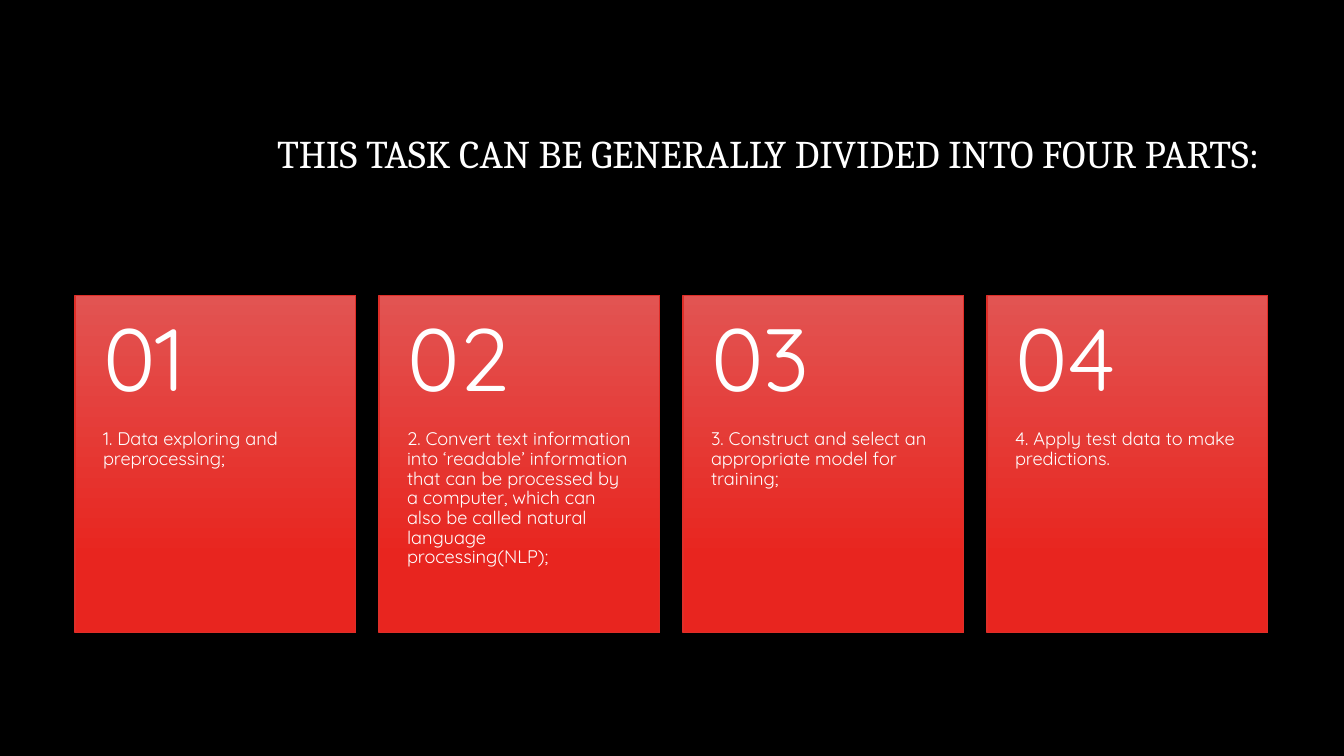
from pptx import Presentation
from pptx.dml.color import RGBColor
from pptx.enum.shapes import MSO_SHAPE
from pptx.enum.text import MSO_ANCHOR, PP_ALIGN
from pptx.util import Pt

RECTANGLE = MSO_SHAPE.RECTANGLE
TOP, MIDDLE = MSO_ANCHOR.TOP, MSO_ANCHOR.MIDDLE
LEFT, RIGHT = PP_ALIGN.LEFT, PP_ALIGN.RIGHT

BLACK = RGBColor(0x00, 0x00, 0x00)
WHITE = RGBColor(0xFF, 0xFF, 0xFF)
CORAL = RGBColor(0xE2, 0x54, 0x52)
RED = RGBColor(0xE8, 0x25, 0x1F)
BORDER_RED = RGBColor(0xDF, 0x2E, 0x28)

SLIDE_WIDTH, SLIDE_HEIGHT = 1344, 756
EMU_PER_PX = 12192000 / SLIDE_WIDTH

CARD_LEFT, CARD_TOP, CARD_WIDTH, CARD_HEIGHT = 75, 295, 281, 338
CARD_PITCH = 304
NUMBER_HEIGHT = 135

TITLE = "THIS TASK CAN BE GENERALLY DIVIDED INTO FOUR PARTS:"
PARTS = [
    "1. Data exploring and preprocessing;",
    "2. Convert text information into ‘readable’ information that can be "
    "processed by a computer, which can also be called natural language "
    "processing(NLP);",
    "3. Construct and select an appropriate model for training;",
    "4. Apply test data to make predictions.",
]


def px(length):
    return round(length * EMU_PER_PX)


class CardSlide:
    """Draws the title and numbered cards on one slide in a shared style."""

    def __init__(self, slide):
        self.slide = slide
        background = slide.background.fill
        background.solid()
        background.fore_color.rgb = BLACK

    def text(self, box, wording, font_name, size, insets,
             anchor=TOP, align=LEFT):
        frame = self.slide.shapes.add_textbox(*map(px, box)).text_frame
        frame.word_wrap = True
        frame.vertical_anchor = anchor
        (frame.margin_left, frame.margin_top,
         frame.margin_right, frame.margin_bottom) = map(px, insets)
        frame.text = wording
        paragraph = frame.paragraphs[0]
        paragraph.alignment = align
        paragraph.line_spacing = 0.9
        font = paragraph.runs[0].font
        font.name = font_name
        font.size = Pt(size)
        font.color.rgb = WHITE

    def panel(self, box):
        panel = self.slide.shapes.add_shape(RECTANGLE, *map(px, box))
        panel.shadow.inherit = False
        panel.line.color.rgb = BORDER_RED
        panel.line.width = Pt(0.75)
        panel.fill.gradient()
        panel.fill.gradient_angle = 270
        stops = panel.fill.gradient_stops
        for stop, position, color in zip(stops, (0, 0.78), (CORAL, RED)):
            stop.position = position
            stop.color.rgb = color

    def card(self, index, description):
        left = CARD_LEFT + index * CARD_PITCH
        description_top = CARD_TOP + NUMBER_HEIGHT
        description_height = CARD_HEIGHT - NUMBER_HEIGHT
        self.panel((left, CARD_TOP, CARD_WIDTH, CARD_HEIGHT))
        self.text((left, description_top, CARD_WIDTH, description_height),
                  description, "Quicksand", 13, (28, 0, 28, 36))
        self.text((left, CARD_TOP, CARD_WIDTH, NUMBER_HEIGHT),
                  f"{index + 1:02}", "Quicksand", 63, (28, 18, 28, 18),
                  anchor=MIDDLE)


def main():
    deck = Presentation()
    deck.slide_width = px(SLIDE_WIDTH)
    deck.slide_height = px(SLIDE_HEIGHT)
    page = CardSlide(deck.slides.add_slide(deck.slide_layouts[6]))
    page.text((186, 85, 1083, 142), TITLE, "Cambria", 28, (10, 5, 10, 5),
              anchor=MIDDLE, align=RIGHT)
    for index, description in enumerate(PARTS):
        page.card(index, description)
    deck.save("out.pptx")


if __name__ == "__main__":
    main()
